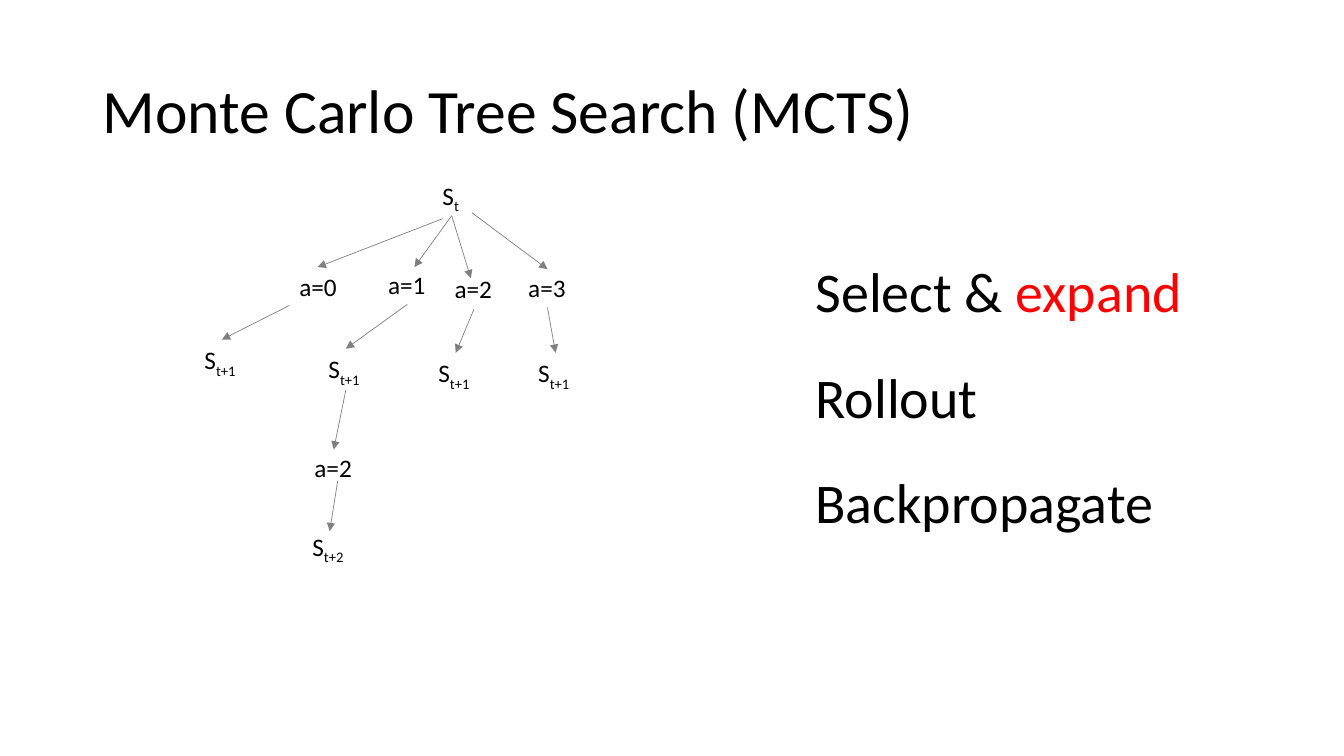
"""Build the Monte Carlo Tree Search slide."""
from dataclasses import dataclass

from lxml import etree
from pptx import Presentation
from pptx.dml.color import RGBColor
from pptx.enum import shapes, text
from pptx.oxml import ns
from pptx.util import Inches, Pt


@dataclass(frozen=True)
class Theme:
    """Colours, font and type sizes of the slide."""
    font: str = "Calibri"
    ink: RGBColor = RGBColor(0, 0, 0)
    accent: RGBColor = RGBColor(255, 0, 0)
    edge: RGBColor = RGBColor(128, 128, 128)
    title_size: int = 44
    step_size: int = 40
    node_size: int = 18
    edge_width: float = 0.5


THEME = Theme()
NODE_HEIGHT = 0.4
STEP_HEIGHT = 0.77
STEP_PITCH = 1.045

STEPS = [("Select & ", "expand"), ("Rollout", ""), ("Backpropagate", "")]

# Each node: label, subscript, left, top, width, incoming edge (x1, y1, x2, y2).
NODES = [
    ("S", "t", 2.39, 0.04, 0.37, None),
    ("a=0", "", 0.97, 0.94, 0.58, (2.49, 0.47, 1.25, 0.95)),
    ("S", "t+1", 0.03, 1.67, 0.54, (0.97, 1.33, 0.3, 1.67)),
    ("a=1", "", 1.85, 0.92, 0.58, (2.58, 0.44, 2.21, 0.95)),
    ("S", "t+1", 1.26, 1.76, 0.54, (2.14, 1.32, 1.53, 1.76)),
    ("a=2", "", 2.51, 0.96, 0.58, (2.58, 0.44, 2.77, 1.06)),
    ("S", "t+1", 2.35, 1.8, 0.54, (2.8, 1.37, 2.62, 1.8)),
    ("a=3", "", 3.24, 0.95, 0.58, (2.78, 0.41, 3.53, 0.97)),
    ("S", "t+1", 3.34, 1.8, 0.54, (3.53, 1.35, 3.61, 1.8)),
    ("a=2", "", 1.12, 2.74, 0.58, (1.53, 2.17, 1.41, 2.76)),
    ("S", "t+2", 1.1, 3.52, 0.54, (1.45, 3.07, 1.37, 3.57)),
]


def add_text(slide, box, words, size, wrap=True):
    """Add a one-paragraph text box and return its paragraph."""
    shape = slide.shapes.add_textbox(*map(Inches, box))
    shape.text_frame.word_wrap = wrap
    paragraph = shape.text_frame.paragraphs[0]
    paragraph.font.name = THEME.font
    paragraph.font.size = Pt(size)
    paragraph.font.color.rgb = THEME.ink
    paragraph.add_run().text = words
    return paragraph


def add_edge(slide, start, end):
    """Add a thin arrow between two points."""
    edge = slide.shapes.add_connector(
        shapes.MSO_CONNECTOR.STRAIGHT, *map(Inches, (*start, *end)))
    edge.line.color.rgb = THEME.edge
    edge.line.width = Pt(THEME.edge_width)
    etree.SubElement(edge.line._get_or_add_ln(), ns.qn("a:tailEnd"), type="triangle")
    etree.SubElement(edge._element.spPr, ns.qn("a:effectLst"))


def add_title(slide, box):
    """Add the slide title, centred vertically in its box."""
    paragraph = add_text(slide, box, "Monte Carlo Tree Search (MCTS)", THEME.title_size)
    paragraph.line_spacing = 0.9
    slide.shapes[-1].text_frame.vertical_anchor = text.MSO_ANCHOR.MIDDLE


def add_steps(slide, box):
    """Stack the search steps at an equal pitch."""
    left, top, width = box
    for index, (words, highlight) in enumerate(STEPS):
        row = (left, top + index * STEP_PITCH, width, STEP_HEIGHT)
        paragraph = add_text(slide, row, words, THEME.step_size)
        if highlight:
            run = paragraph.add_run()
            run.text = highlight
            run.font.color.rgb = THEME.accent


def add_tree(slide, origin):
    """Draw the search tree from its top-left origin."""
    left, top = origin
    for label, subscript, x, y, width, edge in NODES:
        if edge:
            x1, y1, x2, y2 = edge
            add_edge(slide, (left + x1, top + y1), (left + x2, top + y2))
        box = (left + x, top + y, width, NODE_HEIGHT)
        paragraph = add_text(slide, box, label, THEME.node_size, wrap=False)
        if subscript:
            run = paragraph.add_run()
            run.text = subscript
            run.font._element.set("baseline", "-25000")


def main():
    """Assemble and save the presentation."""
    presentation = Presentation()
    presentation.slide_width = Inches(13.33)
    presentation.slide_height = Inches(7.5)
    slide = presentation.slides.add_slide(presentation.slide_layouts[6])
    add_title(slide, (0.92, 0.4, 11.5, 1.45))
    add_steps(slide, (7.99, 2.5, 3.89))
    add_tree(slide, (1.9, 1.7))
    presentation.save("out.pptx")


main()
